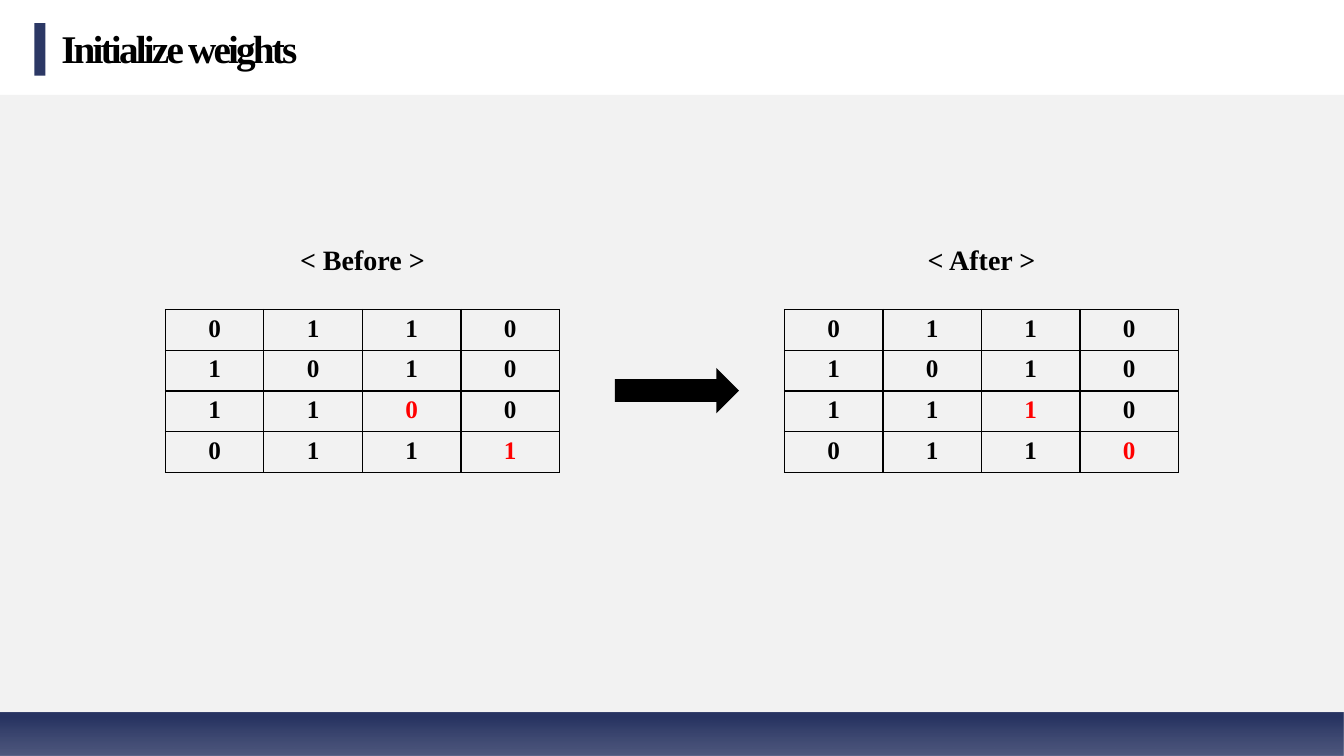
from lxml import etree
from pptx import Presentation
from pptx.dml.color import RGBColor
from pptx.enum import shapes, text
from pptx.oxml import parse_xml
from pptx.oxml.ns import nsdecls
from pptx.util import Inches, Pt

# Content
TITLE = "Initialize weights"
MATRICES = [
    {"label": "< Before >", "left": 1.64, "label_width": 1.45,
     "rows": ["0110", "1010", "1100", "0111"]},
    {"label": "< After >", "left": 7.78, "label_width": 1.28,
     "rows": ["0110", "1010", "1110", "0110"]},
]
CHANGED_CELLS = {(2, 2), (3, 3)}
COLORS = {"panel": "F2F2F2", "footer": "283462", "accent": "2C3865",
          "ink": "000000", "changed": "FF0000"}
FOOTER_STOPS = [(10, 100), (51, 90), (100, 80)]  # position %, opacity %
FONT = "Times New Roman"
TABLE_TOP, TABLE_WIDTH, TABLE_HEIGHT = 3.07, 3.91, 1.62
LABEL_TOP, LABEL_HEIGHT = 2.36, 0.44

presentation = Presentation()
presentation.slide_width, presentation.slide_height = Inches(13.33), Inches(7.5)
slide = presentation.slides.add_slide(presentation.slide_layouts[6])


def add_block(kind, color, *box):
    shape = slide.shapes.add_shape(kind, *map(Inches, box))
    shape.shadow.inherit = False
    shape.fill.solid()
    shape.fill.fore_color.rgb = RGBColor.from_string(COLORS[color])
    shape.line.fill.background()
    return shape


def format_text(paragraph, size, color="ink", align=text.PP_ALIGN.CENTER):
    paragraph.alignment = align
    font = paragraph.runs[0].font
    font.name, font.size, font.bold = FONT, Pt(size), True
    font.color.rgb = RGBColor.from_string(COLORS[color])


def add_text(content, size, *box, wrap=False, align=text.PP_ALIGN.CENTER):
    frame = slide.shapes.add_textbox(*map(Inches, box)).text_frame
    frame.word_wrap = wrap
    frame.auto_size = text.MSO_AUTO_SIZE.SHAPE_TO_FIT_TEXT
    frame.text = content
    format_text(frame.paragraphs[0], size, align=align)
    return frame


def add_borders(cell):
    properties = cell._tc.get_or_add_tcPr()
    for index, side in enumerate(("lnL", "lnR", "lnT", "lnB")):
        properties.insert(index, parse_xml(
            f'<a:{side} {nsdecls("a")} w="12700"><a:solidFill>'
            f'<a:srgbClr val="{COLORS["ink"]}"/></a:solidFill></a:{side}>'))


def add_matrix(rows, left):
    count = len(rows)
    table = slide.shapes.add_table(
        count, count, Inches(left), Inches(TABLE_TOP),
        Inches(TABLE_WIDTH), Inches(TABLE_HEIGHT)).table
    table.first_row = table.horz_banding = False
    for row, digits in enumerate(rows):
        for column, digit in enumerate(digits):
            cell = table.cell(row, column)
            cell.text = digit
            color = "changed" if (row, column) in CHANGED_CELLS else "ink"
            format_text(cell.text_frame.paragraphs[0], 18, color)
            cell.fill.background()
            add_borders(cell)


# Background panel and fading footer
RECTANGLE = shapes.MSO_SHAPE.RECTANGLE
add_block(RECTANGLE, "panel", 0, 0.94, 13.33, 6.55)
footer = add_block(RECTANGLE, "footer", 0, 7.07, 13.33, 0.43)
footer.fill.gradient()
footer.fill.gradient_angle = 270
stop_list = footer.fill.gradient_stops[0]._gs.getparent()
for stop in list(stop_list):
    stop_list.remove(stop)
for position, opacity in FOOTER_STOPS:
    stop_list.append(parse_xml(
        f'<a:gs {nsdecls("a")} pos="{position * 1000}">'
        f'<a:srgbClr val="{COLORS["footer"]}">'
        f'<a:alpha val="{opacity * 1000}"/></a:srgbClr></a:gs>'))

# Title
add_block(RECTANGLE, "accent", 0.34, 0.23, 0.11, 0.52)
title = add_text(TITLE, 28, 0.51, 0.19, 11.34, 0.57,
                 wrap=True, align=text.PP_ALIGN.LEFT)
title.paragraphs[0].runs[0].font._element.set("spc", "-200")

# Matrices with centred labels, and the arrow between them
for matrix in MATRICES:
    add_matrix(matrix["rows"], matrix["left"])
    label_left = matrix["left"] + (TABLE_WIDTH - matrix["label_width"]) / 2
    add_text(matrix["label"], 20, label_left, LABEL_TOP,
             matrix["label_width"], LABEL_HEIGHT)
add_block(shapes.MSO_SHAPE.RIGHT_ARROW, "ink", 6.1, 3.65, 1.23, 0.45)

presentation.save("out.pptx")
